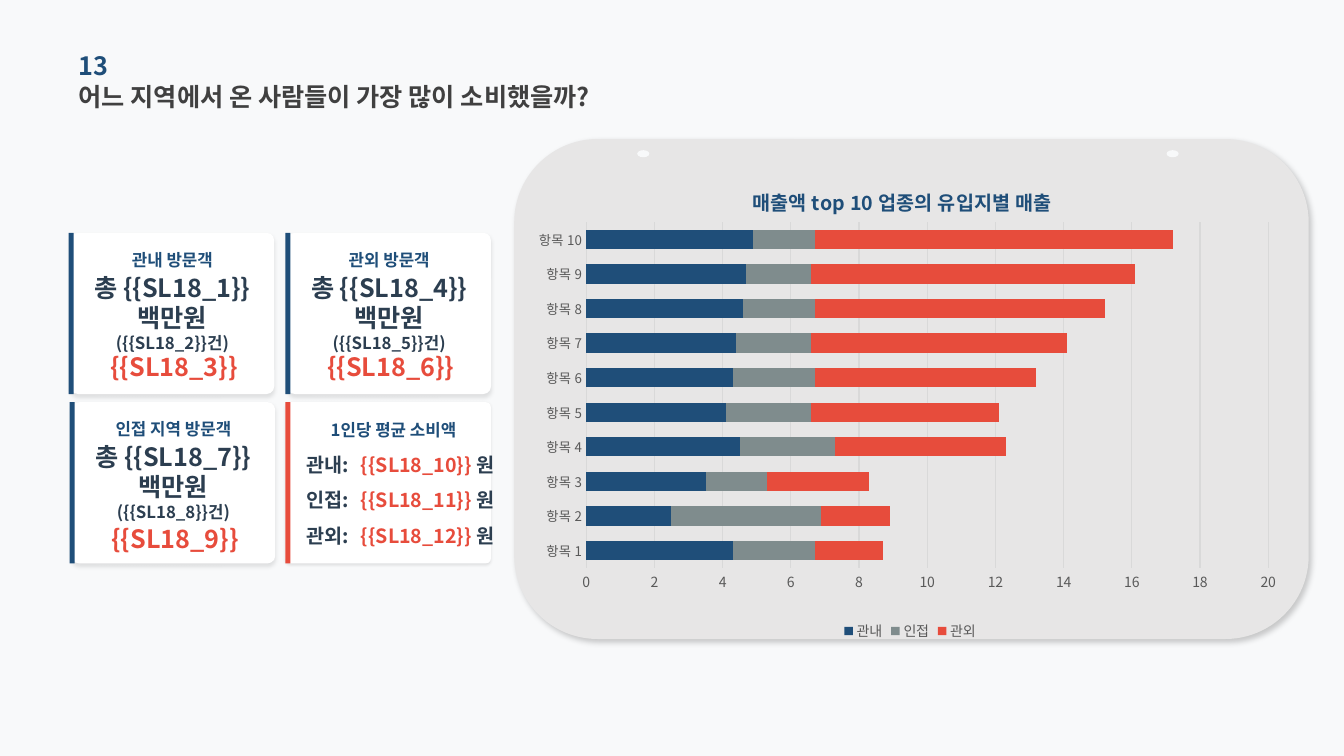
"""Build the slide on visitor spending by home region."""
import dataclasses
import typing

import pptx
import pptx.chart.data
import pptx.dml.color
import pptx.enum.chart
import pptx.enum.shapes
import pptx.enum.text
import pptx.oxml
import pptx.oxml.ns
import pptx.util

RGB = pptx.dml.color.RGBColor
NAVY = RGB(0x1F, 0x4E, 0x79)
RED = RGB(0xE7, 0x4C, 0x3C)
INK = RGB(0x2C, 0x3E, 0x50)
DARK = RGB(0x40, 0x40, 0x40)
GRAY = RGB(0x7F, 0x8C, 0x8D)
LABEL = RGB(0x59, 0x59, 0x59)
RULE = RGB(0xD9, 0xD9, 0xD9)
PANEL = RGB(0xE7, 0xE6, 0xE6)
PAPER = RGB(0xF8, 0xF9, 0xFA)
WHITE = RGB(0xFF, 0xFF, 0xFF)

FACE = "Noto Sans CJK KR"
CELL = 0.1
WIDE, HIGH = 20.2, 16
SHAPE = pptx.enum.shapes.MSO_SHAPE
ALIGN = pptx.enum.text.PP_ALIGN
NS = pptx.oxml.ns


class Box(typing.NamedTuple):
    """Left, top, width and height in grid cells."""
    left: float
    top: float
    width: float
    height: float


class Shade(typing.NamedTuple):
    """Shadow opacity in percent, blur and distance in points, angle."""
    alpha: int
    blur: int
    dist: int
    angle: int


class Part(typing.NamedTuple):
    """A run of text with its own colour or size."""
    text: str
    size: float
    color: RGB


@dataclasses.dataclass
class Card:
    """A visitor card with its place and texts."""
    left: float
    top: float
    head: str
    span: float
    total: str
    count: str
    share: str
    drop: float


CARDS = [
    Card(6.8, 23.1, "관내 방문객", 9.5, "총 {{SL18_1}}백만원", "({{SL18_2}}건)", "{{SL18_3}}", 10.9),
    Card(28.3, 23.1, "관외 방문객", 9.5, "총 {{SL18_4}}백만원", "({{SL18_5}}건)", "{{SL18_6}}", 10.9),
    Card(6.9, 39.9, "인접 지역 방문객", 12.2, "총 {{SL18_7}}백만원", "({{SL18_8}}건)", "{{SL18_9}}", 11.2),
]
SPEND = [("관내:", "{{SL18_10}} "), ("인접:", "{{SL18_11}} "), ("관외:", "{{SL18_12}} ")]
SERIES = [
    ("관내", NAVY, (4.3, 2.5, 3.5, 4.5, 4.1, 4.3, 4.4, 4.6, 4.7, 4.9)),
    ("인접", GRAY, (2.4, 4.4, 1.8, 2.8, 2.5, 2.4, 2.2, 2.1, 1.9, 1.8)),
    ("관외", RED, (2, 2, 3, 5, 5.5, 6.5, 7.5, 8.5, 9.5, 10.5)),
]


def place(box: Box) -> list[int]:
    """Turn grid cells into slide lengths."""
    return [pptx.util.Inches(part * CELL) for part in box]


def style(font: typing.Any, size: float | None, color: RGB | None, bold: bool = False) -> None:
    """Set face, size, colour and weight of a font."""
    font.name = FACE
    font.bold = bold
    if size:
        font.size = pptx.util.Pt(size)
    if color is not None:
        font.color.rgb = color


def fill_text(frame: typing.Any, parts: list[Part], align: ALIGN = ALIGN.LEFT,
              stack: bool = False) -> None:
    """Write one bold paragraph of parts, on one line or stacked."""
    frame.word_wrap = True
    frame.auto_size = pptx.enum.text.MSO_AUTO_SIZE.NONE
    frame.vertical_anchor = pptx.enum.text.MSO_ANCHOR.MIDDLE
    frame.margin_left = frame.margin_top = frame.margin_right = frame.margin_bottom = 0
    para = frame.paragraphs[0]
    para.alignment = align
    sizes = {part.size for part in parts}
    colors = {part.color for part in parts}
    style(para.font, parts[0].size, parts[0].color, True)
    base = para._p.pPr.find(NS.qn("a:defRPr"))
    base.find(NS.qn("a:latin")).addnext(
        pptx.oxml.parse_xml(f'<a:ea {NS.nsdecls("a")} typeface="{FACE}"/>'))
    for rank, part in enumerate(parts):
        if stack and rank:
            para.add_line_break()
        run = para.add_run()
        run.text = part.text
        if len(sizes) > 1:
            run.font.size = pptx.util.Pt(part.size)
        if len(colors) > 1:
            run.font.color.rgb = part.color


def add_text(slide: typing.Any, box: Box, parts: list[Part], align: ALIGN = ALIGN.LEFT,
             stack: bool = False) -> None:
    """Add a text box."""
    fill_text(slide.shapes.add_textbox(*place(box)).text_frame, parts, align, stack)


def add_form(slide: typing.Any, kind: SHAPE, box: Box, color: RGB,
             shade: Shade | None = None, bend: float | None = None) -> None:
    """Add a filled shape with no outline."""
    form = slide.shapes.add_shape(kind, *place(box))
    form.shadow.inherit = False
    form.fill.solid()
    form.fill.fore_color.rgb = color
    form.line.fill.background()
    if bend is not None:
        form.adjustments[0] = bend
    if shade:
        form._element.spPr.find(NS.qn("a:effectLst")).append(pptx.oxml.parse_xml(
            f'<a:outerShdw {NS.nsdecls("a")} blurRad="{pptx.util.Pt(shade.blur)}" '
            f'dist="{pptx.util.Pt(shade.dist)}" dir="{shade.angle * 60000}" algn="ctr" '
            f'rotWithShape="0"><a:srgbClr val="000000"><a:alpha val="{shade.alpha * 1000}"/>'
            '</a:srgbClr></a:outerShdw>'))


def add_card(slide: typing.Any, card: Card) -> None:
    """Draw a visitor card."""
    left, top = card.left, card.top
    add_form(slide, SHAPE.ROUNDED_RECTANGLE, Box(left + 0.2, top, WIDE, HIGH), WHITE,
             Shade(10, 3, 2, 90), 0.048)
    add_form(slide, SHAPE.RECTANGLE, Box(left, top, 0.5, HIGH), NAVY)
    mid = left + 0.2 + WIDE / 2
    add_text(slide, Box(mid - card.span / 2, top + 1.1, card.span, 3.1),
             [Part(card.head, 12, NAVY)], ALIGN.CENTER)
    add_text(slide, Box(left + 0.3, top + 5.55, 20, 4.7),
             [Part(card.total, 18, INK), Part(card.count, 12, INK)], ALIGN.CENTER, True)
    add_text(slide, Box(left + 0.5, top + card.drop, 19.9, 4.7),
             [Part(card.share, 18, RED)], ALIGN.CENTER)


def add_spend(slide: typing.Any, left: float, top: float) -> None:
    """Draw the card of average spending."""
    add_form(slide, SHAPE.ROUNDED_RECTANGLE, Box(left, top, 20.4, HIGH), WHITE,
             Shade(10, 2, 1, 90), 0.032)
    add_form(slide, SHAPE.RECTANGLE, Box(left, top, 0.5, HIGH), RED)
    add_text(slide, Box(left + 4.5, top + 1.5, 14, 2.5), [Part("1인당 평균 소비액", 12, NAVY)])
    for rank, (name, value) in enumerate(SPEND):
        line = top + 4.7 + 3.5 * rank
        add_text(slide, Box(left + 2.1, line, 5.9, 3), [Part(name, 14, INK)])
        add_text(slide, Box(left + 7.5, line, 44.5, 3),
                 [Part(value, 14, RED), Part("원", 14, INK)])


def fix_plot(owner: typing.Any, shares: dict[str, float], inner: bool = False) -> None:
    """Pin a chart part by shares of the chart's size."""
    modes = "".join(f'<c:{edge}Mode val="edge"/>' for edge in "xy")
    sizes = "".join(f'<c:{name} val="{share}"/>' for name, share in shares.items())
    target = '<c:layoutTarget val="inner"/>' if inner else ""
    layout = owner.get_or_add_layout() if hasattr(owner, "get_or_add_layout") else None
    if layout is None:
        layout = owner.find(NS.qn("c:layout"))
    if layout is None:
        layout = pptx.oxml.parse_xml(f'<c:layout {NS.nsdecls("c")}/>')
        owner.insert(0, layout)
    layout.append(pptx.oxml.parse_xml(
        f'<c:manualLayout {NS.nsdecls("c")}>{target}{modes}{sizes}</c:manualLayout>'))


def add_sales(slide: typing.Any, box: Box) -> None:
    """Add the stacked bar chart of sales."""
    kinds = pptx.enum.chart
    data = pptx.chart.data.CategoryChartData()
    data.categories = [f"항목 {rank}" for rank in range(1, 11)]
    for name, _, values in SERIES:
        data.add_series(name, values)
    chart = slide.shapes.add_chart(kinds.XL_CHART_TYPE.BAR_STACKED, *place(box), data).chart
    chart.font.name = "Calibri"
    chart.font.size = pptx.util.Pt(10)
    chart.has_title = True
    para = chart.chart_title.text_frame.paragraphs[0]
    para.text = "매출액 top 10 업종의 유입지별 매출"
    style(para.font, 14, NAVY, True)
    fix_plot(chart.chart_title._element, {"x": 0.29, "y": 0.05})
    chart.has_legend = True
    chart.legend.position = kinds.XL_LEGEND_POSITION.BOTTOM
    chart.legend.include_in_layout = False
    style(chart.legend.font, 10, LABEL)
    plot = chart.plots[0]
    plot.gap_width, plot.overlap, plot.vary_by_categories = 80, 100, False
    for series, (_, color, _) in zip(plot.series, SERIES):
        series.format.fill.solid()
        series.format.fill.fore_color.rgb = color
    cats, vals = chart.category_axis, chart.value_axis
    for axis, size in ((cats, 9.5), (vals, 10)):
        axis.major_tick_mark = axis.minor_tick_mark = kinds.XL_TICK_MARK.NONE
        style(axis.tick_labels.font, size, LABEL)
    vals.maximum_scale, vals.minimum_scale, vals.major_unit = 20, 0, 2
    vals.format.line.fill.background()
    vals.has_major_gridlines = True
    for line in (cats.format.line, vals.major_gridlines.format.line):
        line.color.rgb = RULE
        line.width = pptx.util.Pt(0.75)
    area = chart._chartSpace.chart.plotArea
    fix_plot(area, {"x": 0.078, "y": 0.133, "w": 0.889, "h": 0.709}, True)


def main() -> None:
    """Build and save the slide."""
    deck = pptx.Presentation()
    deck.slide_width, deck.slide_height = pptx.util.Inches(13.33), pptx.util.Inches(7.5)
    slide = deck.slides.add_slide(deck.slide_layouts[5])
    slide.background.fill.solid()
    slide.background.fill.fore_color.rgb = PAPER
    title = slide.shapes.title
    title.left, title.top, title.width, title.height = place(Box(7.8, 7.5, 53.5, 4.1))
    fill_text(title.text_frame, [Part("어느 지역에서 온 사람들이 가장 많이 소비했을까?", 18, DARK)])
    add_text(slide, Box(7.8, 4.4, 45.2, 4.1), [Part("13", 18, NAVY)])
    add_form(slide, SHAPE.ROUNDED_RECTANGLE, Box(51, 13.8, 78.8, 49.6), PANEL,
             Shade(20, 4, 3, 45))
    for left in (63.2, 115.7):
        add_form(slide, SHAPE.OVAL, Box(left, 14.9, 1.2, 0.7), PAPER)
    add_spend(slide, 28.3, 39.9)
    for card in CARDS:
        add_card(slide, card)
    add_sales(slide, Box(52.2, 15.6, 76.1, 48.4))
    deck.save("out.pptx")


if __name__ == "__main__":
    main()
